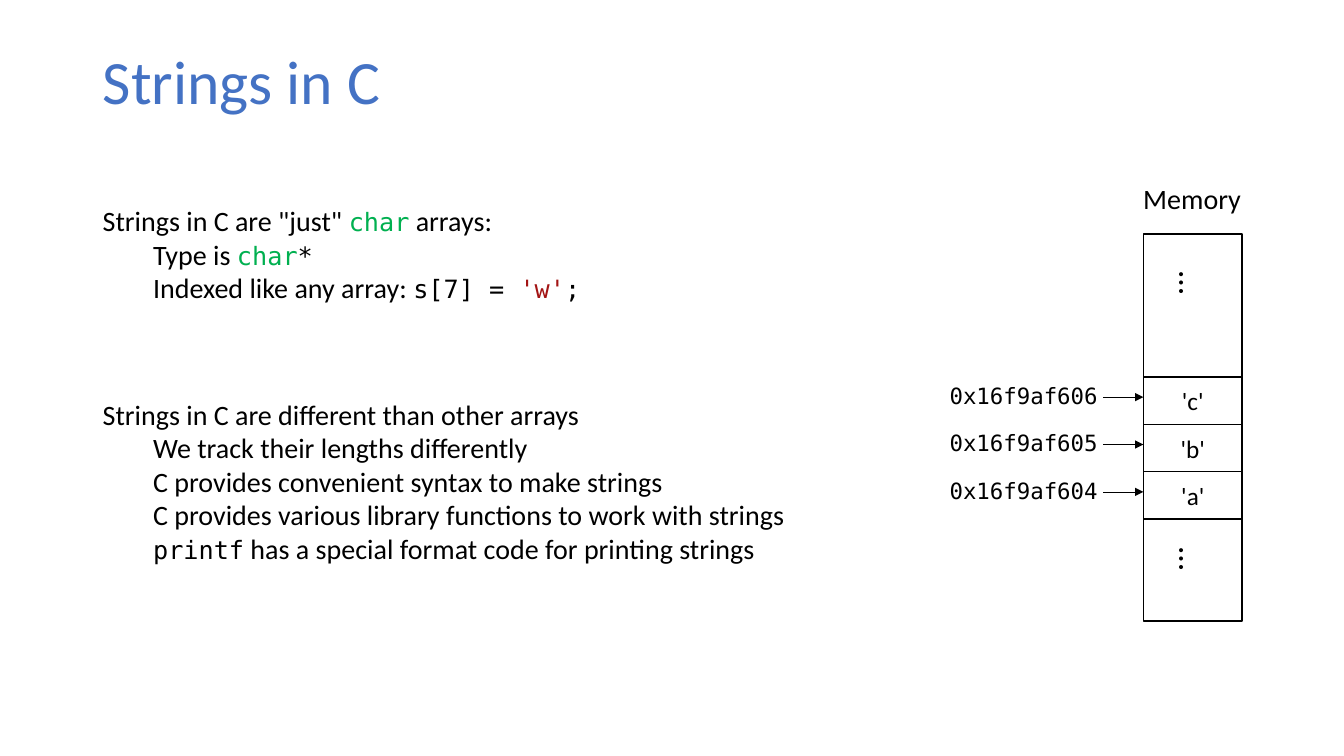
from lxml.etree import SubElement
from pptx import Presentation
from pptx.dml.color import RGBColor
from pptx.enum.shapes import MSO_CONNECTOR, MSO_SHAPE
from pptx.enum.text import MSO_ANCHOR, MSO_AUTO_SIZE, PP_ALIGN
from pptx.oxml.ns import qn
from pptx.util import Inches, Pt

BLACK = RGBColor(0x00, 0x00, 0x00)
WHITE = RGBColor(0xFF, 0xFF, 0xFF)
TITLE_BLUE = RGBColor(0x44, 0x72, 0xC4)
TYPE_GREEN = RGBColor(0x00, 0xB0, 0x50)
LITERAL_RED = RGBColor(0xA3, 0x14, 0x14)
BODY_FONT, CODE_FONT = "Calibri", "DejaVu Sans Mono"

# Grid: one text column, one address column, one memory column
SLIDE_W, SLIDE_H = 13.33, 7.5
TEXT_X = 0.92
ADDRESS_X, ADDRESS_W = 9.32, 1.69
MEMORY_X, MEMORY_W = 11.34, 0.98
MEMORY_Y, MEMORY_H = 2.32, 3.84
CELLS_Y, CELL_H = 3.74, 0.47
ARROW_W, ARROW_DROP = 0.4, 0.2

BYTES = [("0x16f9af606", "'c'"), ("0x16f9af605", "'b'"), ("0x16f9af604", "'a'")]


def body(text):
    return text, BODY_FONT, 20, BLACK


def code(text, color=BLACK):
    return text, CODE_FONT, 18, color


ARRAY_LINES = [
    (0, [body('Strings in C are "just" '), code("char", TYPE_GREEN), body(" arrays:")]),
    (1, [body("Type is "), code("char", TYPE_GREEN), code("*")]),
    (1, [body("Indexed like any array: "), code("s[7] = "),
         code("'w'", LITERAL_RED), code(";")]),
]
DIFFERENCE_LINES = [
    (0, [body("Strings in C are different than other arrays")]),
    (1, [body("We track their lengths differently")]),
    (1, [body("C provides convenient syntax to make strings")]),
    (1, [body("C provides various library functions to work with strings")]),
    (1, [code("printf"), body(" has a special format code for printing strings")]),
]


def write(frame, lines, align=PP_ALIGN.LEFT, anchor=MSO_ANCHOR.TOP, wrap=False,
          fit=MSO_AUTO_SIZE.SHAPE_TO_FIT_TEXT, line_spacing=None):
    """Fill a text frame with (level, runs) lines."""
    frame.word_wrap, frame.auto_size = wrap, fit
    frame.vertical_anchor = anchor
    for index, (level, runs) in enumerate(lines):
        paragraph = frame.paragraphs[0] if index == 0 else frame.add_paragraph()
        paragraph.alignment, paragraph.level = align, level
        paragraph.line_spacing = line_spacing
        if level:
            indent = paragraph._p.get_or_add_pPr()
            indent.set("marL", str(Inches(0.5 * level)))
            indent.set("indent", "0")
        for text, font, size, color in runs:
            run = paragraph.add_run()
            run.text = text
            run.font.name, run.font.size = font, Pt(size)
            run.font.color.rgb = color


def add_text(slide, left, top, width, height, lines, **text_format):
    box = slide.shapes.add_textbox(*map(Inches, (left, top, width, height)))
    write(box.text_frame, lines, **text_format)
    return box


def add_block(slide, top, height, label=None):
    """Draw a stretch of memory, with its value if it has one."""
    block = slide.shapes.add_shape(
        MSO_SHAPE.RECTANGLE, *map(Inches, (MEMORY_X, top, MEMORY_W, height)))
    block.shadow.inherit = False
    block.fill.solid()
    block.fill.fore_color.rgb = WHITE
    block.line.color.rgb, block.line.width = BLACK, Pt(1)
    if label:
        write(block.text_frame, [(0, [(label, BODY_FONT, 18, BLACK)])],
              align=PP_ALIGN.CENTER, anchor=MSO_ANCHOR.MIDDLE,
              wrap=True, fit=MSO_AUTO_SIZE.NONE)


def add_dots(slide, top):
    dots = add_text(slide, MEMORY_X + 0.27, top, 0.44, 0.3,
                    [(0, [("…", BODY_FONT, 24, BLACK)])],
                    align=PP_ALIGN.CENTER, anchor=MSO_ANCHOR.MIDDLE,
                    fit=MSO_AUTO_SIZE.NONE)
    frame = dots.text_frame
    frame.margin_left = frame.margin_right = 0
    frame.margin_top = frame.margin_bottom = 0
    dots.rotation = 90


def add_address(slide, top, address):
    """Label a memory cell and point at it."""
    add_text(slide, ADDRESS_X, top, ADDRESS_W, 0.37,
             [(0, [(address, CODE_FONT, 16, BLACK)])])
    y = Inches(top + ARROW_DROP)
    arrow = slide.shapes.add_connector(
        MSO_CONNECTOR.STRAIGHT, Inches(MEMORY_X - ARROW_W), y, Inches(MEMORY_X), y)
    arrow.line.color.rgb, arrow.line.width = BLACK, Pt(0.5)
    SubElement(arrow.line._get_or_add_ln(), qn("a:tailEnd"), type="triangle")
    SubElement(arrow._element.spPr, qn("a:effectLst"))


def add_title(slide, text):
    title = slide.shapes.title
    title.left, title.top = Inches(TEXT_X), Inches(0.4)
    title.width, title.height = Inches(11.5), Inches(0.87)
    write(title.text_frame, [(0, [(text, BODY_FONT, 44, TITLE_BLUE)])],
          anchor=MSO_ANCHOR.MIDDLE, wrap=True, fit=MSO_AUTO_SIZE.NONE,
          line_spacing=0.9)


def main():
    deck = Presentation()
    deck.slide_width, deck.slide_height = Inches(SLIDE_W), Inches(SLIDE_H)
    slide = deck.slides.add_slide(deck.slide_layouts[5])

    # Title and explanation
    add_title(slide, "Strings in C")
    add_text(slide, TEXT_X, 1.97, 5.14, 1.11, ARRAY_LINES)
    add_text(slide, TEXT_X, 3.89, 7.09, 1.78, DIFFERENCE_LINES)

    # Memory column
    add_text(slide, MEMORY_X - 0.1, 1.75, MEMORY_W + 0.2, 0.44, [(0, [body("Memory")])])
    add_block(slide, MEMORY_Y, MEMORY_H)
    for top in (2.66, 5.4):
        add_dots(slide, top)

    # Bytes of the string with their addresses
    for row, (address, value) in enumerate(BYTES):
        top = CELLS_Y + row * CELL_H
        add_block(slide, top, CELL_H, value)
        add_address(slide, top, address)

    deck.save("out.pptx")


if __name__ == "__main__":
    main()
